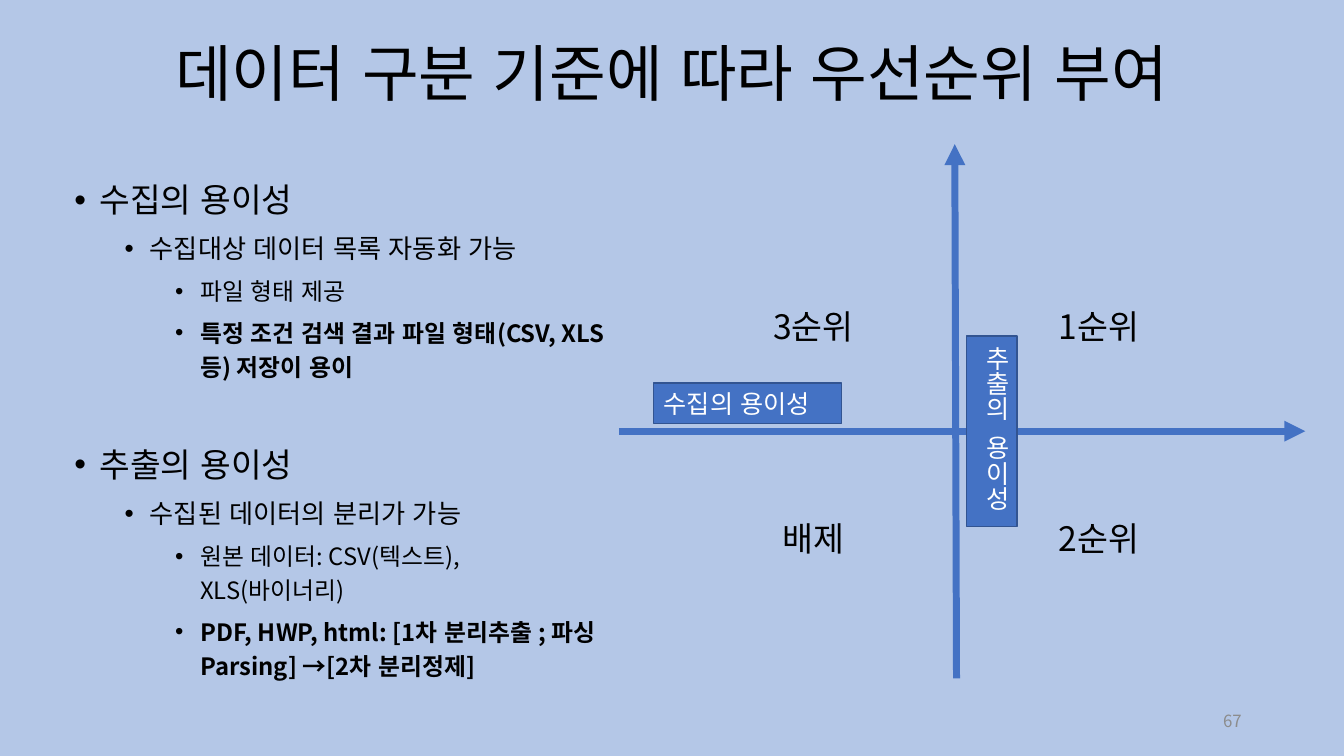
from dataclasses import dataclass

from lxml.etree import SubElement
from pptx import Presentation
from pptx.dml.color import RGBColor
from pptx.enum.lang import MSO_LANGUAGE_ID
from pptx.enum.shapes import MSO_CONNECTOR, MSO_SHAPE
from pptx.enum.text import MSO_ANCHOR, MSO_AUTO_SIZE, PP_ALIGN
from pptx.oxml.ns import qn
from pptx.util import Pt

FONT = "Noto Sans CJK KR"
BLACK, WHITE, GRAY = "000000", "FFFFFF", "8C8C8C"
BLUE, DARK_BLUE, BACKGROUND = "4472C4", "325491", "B4C7E7"
NO_GRID_STYLE = "{2D5ABB26-0587-4C30-8999-92F81FD0307C}"
LEVEL_SIZES = (23.8, 18.7, 17)
LEVEL_STEP, HANGING = 36, 18


@dataclass
class Bullet:
    text: str
    level: int
    bold: bool = False
    space_before: float = 5


@dataclass
class Axis:
    start: tuple[float, float]
    end: tuple[float, float]


@dataclass
class AxisLabel:
    text: str
    frame: tuple[float, float, float, float]
    vertical: bool = False


BULLETS = [
    Bullet("수집의 용이성", 0, space_before=0),
    Bullet("수집대상 데이터 목록 자동화 가능", 1),
    Bullet("파일 형태 제공", 2),
    Bullet("특정 조건 검색 결과 파일 형태(CSV, XLS 등) 저장이 용이", 2, bold=True),
    Bullet("추출의 용이성", 0, space_before=39.5),
    Bullet("수집된 데이터의 분리가 가능", 1),
    Bullet("원본 데이터: CSV(텍스트),\vXLS(바이너리)", 2),
    Bullet("PDF, HWP, html: [1차 분리추출 ; 파싱Parsing] →[2차 분리정제]", 2, bold=True),
]
PRIORITIES = [["3순위", "1순위"], ["배제", "2순위"]]
AXES = [
    Axis((683.25, 484.5), (682, 103)),
    Axis((442, 308), (932.4, 308)),
]
AXIS_LABELS = [
    AxisLabel("수집의 용이성", (467, 273.5, 134, 29)),
    AxisLabel("추출의  용이성", (690.5, 240, 36, 136), vertical=True),
]


def rgb(color: str) -> RGBColor:
    return RGBColor.from_string(color)


def format_runs(paragraph, size: float, color: str, bold: bool = False) -> None:
    for run in paragraph.runs:
        run.font.size = Pt(size)
        run.font.bold = bold
        run.font.language_id = MSO_LANGUAGE_ID.KOREAN
        run.font.color.rgb = rgb(color)
        run.font.name = FONT
        SubElement(run.font._element, qn("a:ea"), typeface=FONT)
    # Size of the line that follows a closing break
    end = SubElement(paragraph._p, qn("a:endParaRPr"), lang="ko-KR", sz=str(round(size * 100)))
    for script in ("a:latin", "a:ea"):
        SubElement(end, qn(script), typeface=FONT)


def add_text_frame(slide, left: float, top: float, width: float, height: float):
    box = slide.shapes.add_textbox(Pt(left), Pt(top), Pt(width), Pt(height))
    box.text_frame.word_wrap = True
    return box.text_frame


def add_line_of_text(slide, text: str, frame: tuple, size: float, color: str,
                     alignment, line_spacing: float = 1.0) -> None:
    text_frame = add_text_frame(slide, *frame)
    text_frame.vertical_anchor = MSO_ANCHOR.MIDDLE
    paragraph = text_frame.paragraphs[0]
    paragraph.text = text
    paragraph.alignment = alignment
    paragraph.line_spacing = line_spacing
    format_runs(paragraph, size, color)


def add_bullets(slide, bullets: list[Bullet]) -> None:
    text_frame = add_text_frame(slide, 46, 119, 413, 373)
    for index, bullet in enumerate(bullets):
        paragraph = text_frame.add_paragraph() if index else text_frame.paragraphs[0]
        paragraph.text = bullet.text
        paragraph.level = bullet.level
        paragraph.line_spacing = 1.2
        paragraph.space_before = Pt(bullet.space_before)
        properties = paragraph._p.get_or_add_pPr()
        properties.set("marL", str(Pt(HANGING + LEVEL_STEP * bullet.level)))
        properties.set("indent", str(-Pt(HANGING)))
        SubElement(properties, qn("a:buFont"), typeface="Arial")
        SubElement(properties, qn("a:buChar"), char="•")
        format_runs(paragraph, LEVEL_SIZES[bullet.level], BLACK, bullet.bold)


def add_priority_grid(slide, rows: list[list[str]]) -> None:
    frame = slide.shapes.add_table(2, 2, Pt(479), Pt(156), Pt(408), Pt(303))
    table = frame.table
    table.first_row = table.horz_banding = False
    table._tbl.tblPr.find(qn("a:tableStyleId")).text = NO_GRID_STYLE
    for row_index, row in enumerate(rows):
        for column_index, priority in enumerate(row):
            cell = table.cell(row_index, column_index)
            cell.vertical_anchor = MSO_ANCHOR.MIDDLE
            for edge in ("a:lnL", "a:lnR", "a:lnT", "a:lnB"):
                border = SubElement(cell._tc.get_or_add_tcPr(), qn(edge))
                SubElement(border, qn("a:noFill"))
            cell.fill.background()
            paragraph = cell.text_frame.paragraphs[0]
            paragraph.text = priority
            paragraph.alignment = PP_ALIGN.CENTER
            format_runs(paragraph, 24, BLACK)


def add_axis(slide, axis: Axis) -> None:
    points = [Pt(value) for value in (*axis.start, *axis.end)]
    arrow = slide.shapes.add_connector(MSO_CONNECTOR.STRAIGHT, *points)
    arrow.line.color.rgb = rgb(BLUE)
    arrow.line.width = Pt(5)
    SubElement(arrow.line._get_or_add_ln(), qn("a:tailEnd"), type="triangle")
    SubElement(arrow._element.spPr, qn("a:effectLst"))


def add_axis_label(slide, label: AxisLabel) -> None:
    frame = [Pt(value) for value in label.frame]
    plate = slide.shapes.add_shape(MSO_SHAPE.RECTANGLE, *frame)
    plate.shadow.inherit = False
    plate.fill.solid()
    plate.fill.fore_color.rgb = rgb(BLUE)
    plate.line.color.rgb = rgb(DARK_BLUE)
    plate.line.width = Pt(1)
    text_frame = plate.text_frame
    text_frame.text = label.text
    text_frame.vertical_anchor = MSO_ANCHOR.TOP
    text_frame.word_wrap = not label.vertical
    text_frame.auto_size = MSO_AUTO_SIZE.SHAPE_TO_FIT_TEXT
    if label.vertical:
        text_frame._txBody.bodyPr.set("vert", "eaVert")
    text_frame.paragraphs[0].alignment = PP_ALIGN.LEFT
    format_runs(text_frame.paragraphs[0], 18, WHITE)


def main() -> None:
    presentation = Presentation()
    presentation.slide_width, presentation.slide_height = Pt(960), Pt(540)
    slide = presentation.slides.add_slide(presentation.slide_layouts[6])
    slide.background.fill.solid()
    slide.background.fill.fore_color.rgb = rgb(BACKGROUND)

    # Title, criteria and page number
    add_line_of_text(slide, "데이터 구분 기준에 따라 우선순위 부여\v", (66, 29, 828, 104),
                     44, BLACK, PP_ALIGN.CENTER, line_spacing=0.9)
    add_bullets(slide, BULLETS)
    add_line_of_text(slide, "67", (678, 500.5, 216, 29), 12, GRAY, PP_ALIGN.RIGHT)

    # Priority quadrants
    add_priority_grid(slide, PRIORITIES)
    for axis in AXES:
        add_axis(slide, axis)
    for label in AXIS_LABELS:
        add_axis_label(slide, label)

    presentation.save("out.pptx")


if __name__ == "__main__":
    main()
